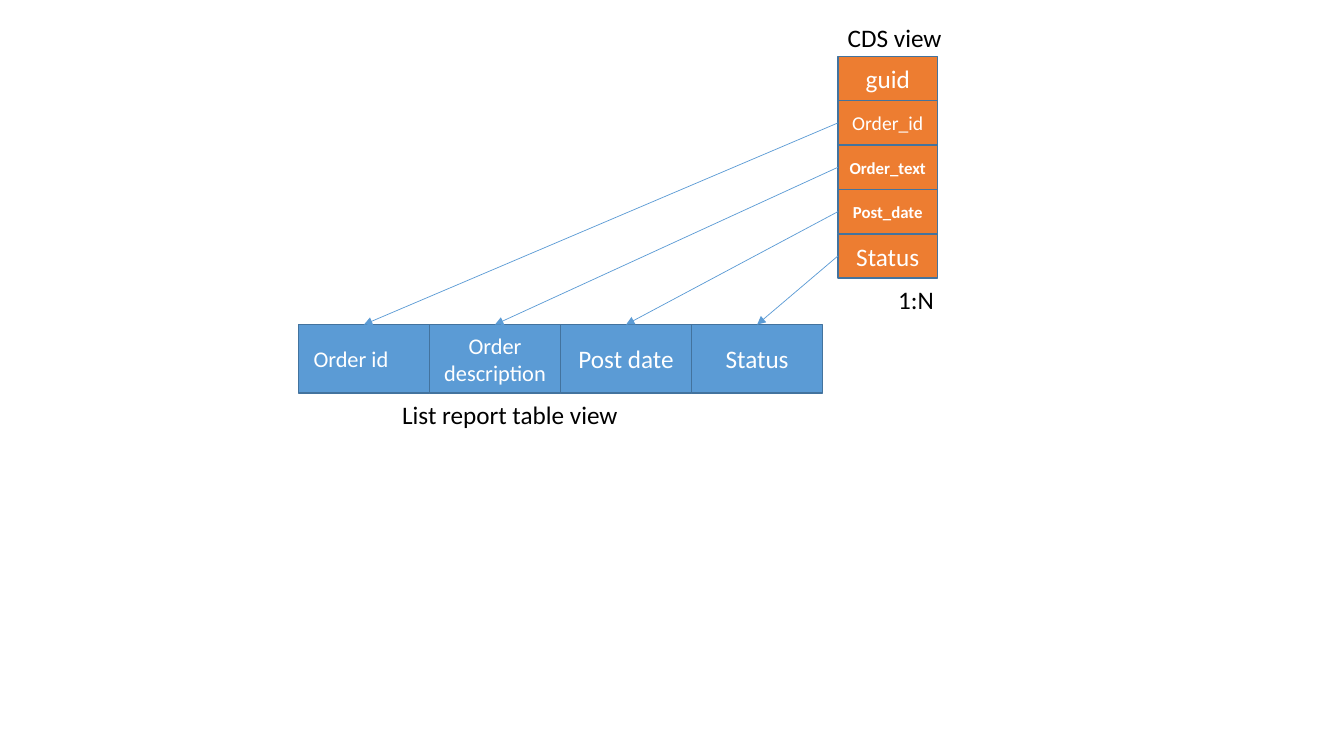
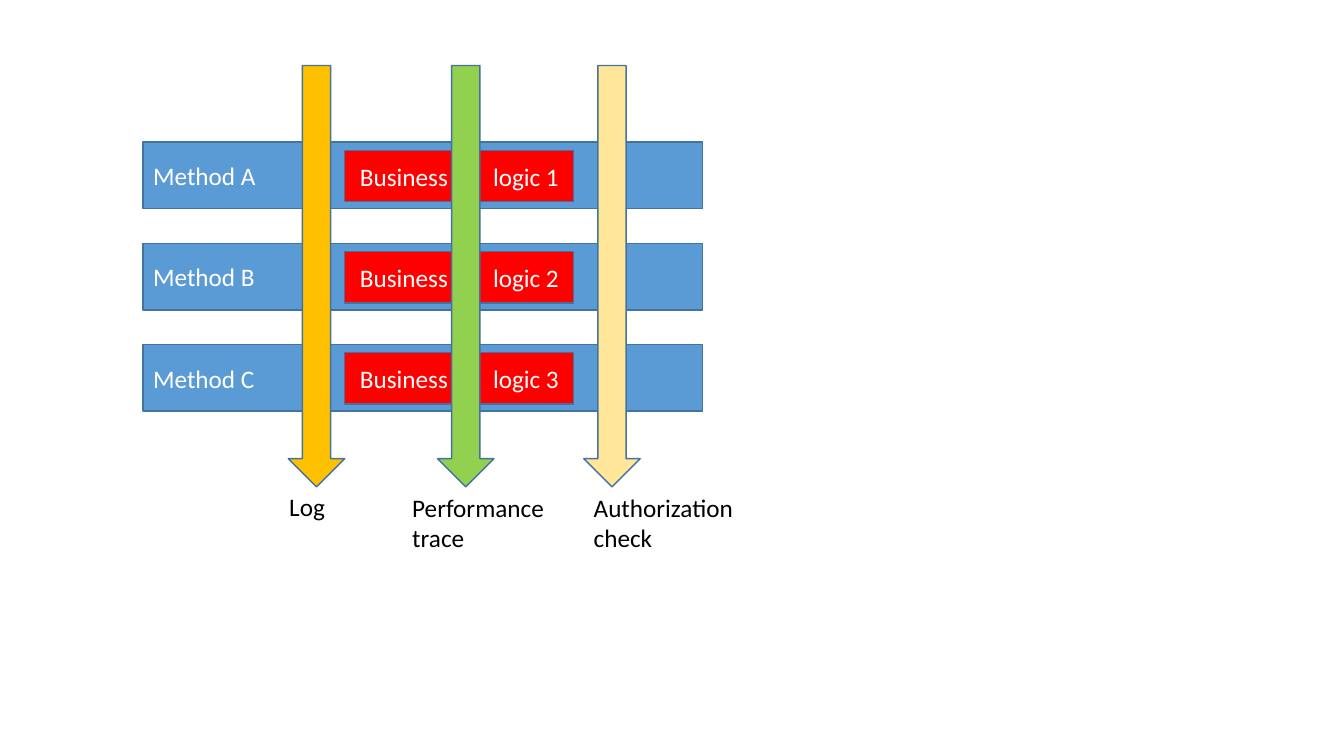
from dataclasses import dataclass

from pptx import Presentation
from pptx.dml.color import RGBColor
from pptx.enum.shapes import MSO_CONNECTOR as Connector, MSO_SHAPE as Shape
from pptx.enum.text import MSO_ANCHOR as Anchor, PP_ALIGN as Align
from pptx.oxml.ns import qn
from pptx.util import Inches, Pt
from lxml.etree import SubElement


@dataclass(frozen=True)
class Theme:
    font: str = "Calibri"
    blue: str = "5B9BD5"
    outline: str = "43739E"
    orange: str = "ED7D31"
    red: str = "FF0000"
    gold: str = "FFC000"
    green: str = "92D050"
    cream: str = "FFE699"
    white: str = "FFFFFF"
    black: str = "000000"
    body: int = 18
    medium: int = 16
    small: int = 14
    tiny: int = 12


theme = Theme()


def write(frame, text, color, size=theme.body, align=Align.LEFT, bold=False):
    frame.word_wrap = True
    frame.text = text
    para = frame.paragraphs[0]
    para.alignment = align
    for span in para.runs:
        span.font.name = theme.font
        span.font.size = Pt(size)
        span.font.bold = bold
        span.font.color.rgb = RGBColor.from_string(color)


def add_box(page, kind, place, fill):
    box = page.shapes.add_shape(kind, *map(Inches, place))
    box.shadow.inherit = False
    box.fill.solid()
    box.fill.fore_color.rgb = RGBColor.from_string(fill)
    box.line.color.rgb = RGBColor.from_string(theme.outline)
    box.line.width = Pt(1)
    box.text_frame.vertical_anchor = Anchor.MIDDLE
    return box


deck = Presentation()
deck.slide_width, deck.slide_height = Inches(13.33), Inches(7.5)
blank = deck.slide_layouts[6]
mapping_page = deck.slides.add_slide(blank)
aspects_page = deck.slides.add_slide(blank)

# Slide 1: columns of the list report
columns = []
for index, (name, size, align) in enumerate([
    ("Order id", theme.medium, Align.LEFT),
    ("Order description", theme.medium, Align.CENTER),
    ("Post date", theme.body, Align.CENTER),
    ("Status", theme.body, Align.CENTER),
]):
    column = add_box(mapping_page, Shape.RECTANGLE, (2.96 + 1.3 * index, 3.22, 1.3, 0.68), theme.blue)
    write(column.text_frame, name, theme.white, size, align)
    columns.append(column)
columns[0].text_frame.margin_left = Inches(0.15)

# Slide 1: fields of the CDS view
fields = []
for index, (name, size, bold) in enumerate([
    ("guid", theme.body, False),
    ("Order_id", theme.small, False),
    ("Order_text", theme.tiny, True),
    ("Post_date", theme.tiny, True),
    ("Status", theme.body, False),
]):
    field = add_box(mapping_page, Shape.RECTANGLE, (8.31, 0.56 + 0.44 * index, 0.99, 0.44), theme.orange)
    write(field.text_frame, name, theme.white, size, Align.CENTER, bold)
    fields.append(field)

# Slide 1: each field after the guid feeds one column
for field, column in zip(fields[1:], columns):
    arrow = mapping_page.shapes.add_connector(Connector.STRAIGHT, 0, 0, 0, 0)
    arrow.begin_connect(field, 1)
    arrow.end_connect(column, 0)
    arrow.line.color.rgb = RGBColor.from_string(theme.blue)
    arrow.line.width = Pt(0.5)
    SubElement(arrow.line._get_or_add_ln(), qn("a:tailEnd"), type="triangle")
    SubElement(arrow._element.spPr, qn("a:effectLst"))

# Slide 2: methods with their business logic
for index, letter in enumerate("ABC"):
    top = 1.41 + 1.005 * index
    method = add_box(aspects_page, Shape.RECTANGLE, (1.42, top, 5.55, 0.66), theme.blue)
    write(method.text_frame, f"Method {letter}", theme.white)
    logic = add_box(aspects_page, Shape.RECTANGLE, (3.42, top + 0.08, 2.27, 0.51), theme.red)
    logic.text_frame.margin_left = Inches(0.15)
    write(logic.text_frame, f"Business\tlogic {index + 1}", theme.white)
    # The tab stop carries the second word past the green arrow
    tabs = SubElement(logic.text_frame.paragraphs[0]._p.get_or_add_pPr(), qn("a:tabLst"))
    SubElement(tabs, qn("a:tab"), pos=str(Inches(1.32)), algn="l")

# Slide 2: concerns that cut across the methods
for left, color in [(2.86, theme.gold), (4.34, theme.green), (5.79, theme.cream)]:
    add_box(aspects_page, Shape.DOWN_ARROW, (left, 0.65, 0.56, 4.18), color)

# Captions of both slides
for page, text, place in [
    (mapping_page, "List report table view", (3.89, 3.91, 3.54, 0.4)),
    (mapping_page, "CDS view", (8.31, 0.17, 1.83, 0.4)),
    (mapping_page, "1:N", (8.81, 2.77, 1.34, 0.4)),
    (aspects_page, "Log", (2.77, 4.83, 1.12, 0.4)),
    (aspects_page, "Performance trace", (3.99, 4.83, 1.58, 0.71)),
    (aspects_page, "Authorization check", (5.79, 4.83, 1.76, 0.71)),
]:
    caption = page.shapes.add_textbox(*map(Inches, place))
    write(caption.text_frame, text, theme.black)

deck.save("out.pptx")
